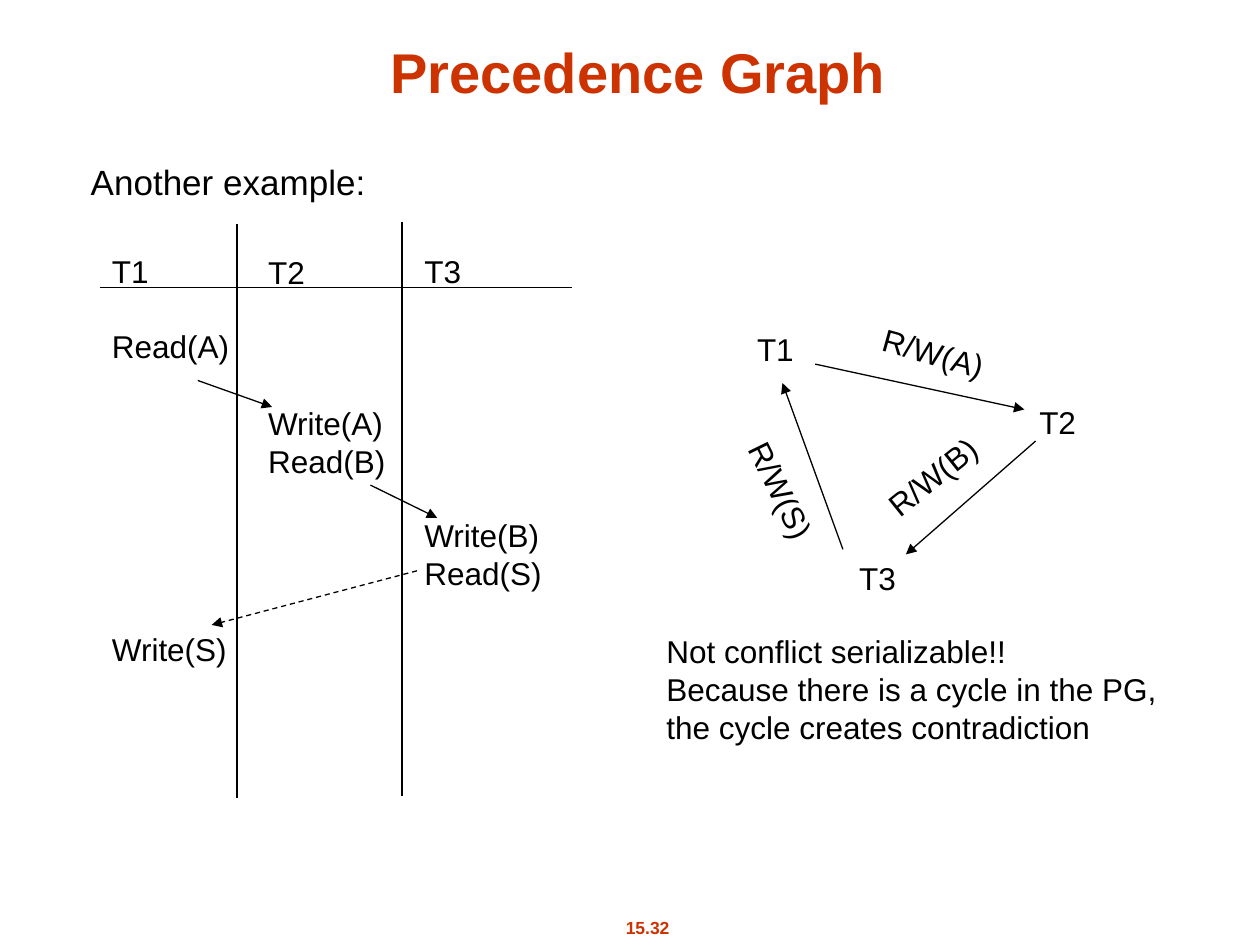
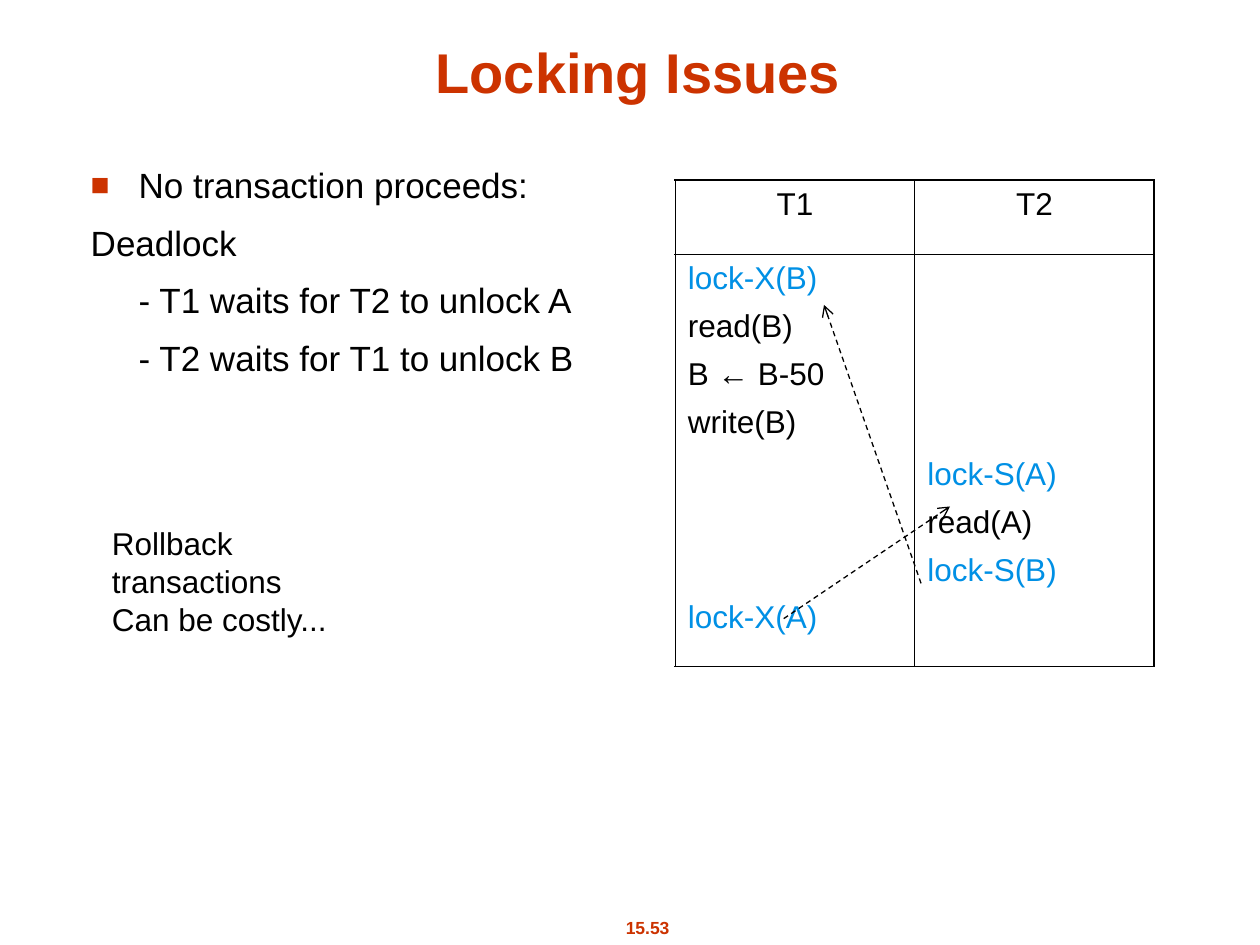
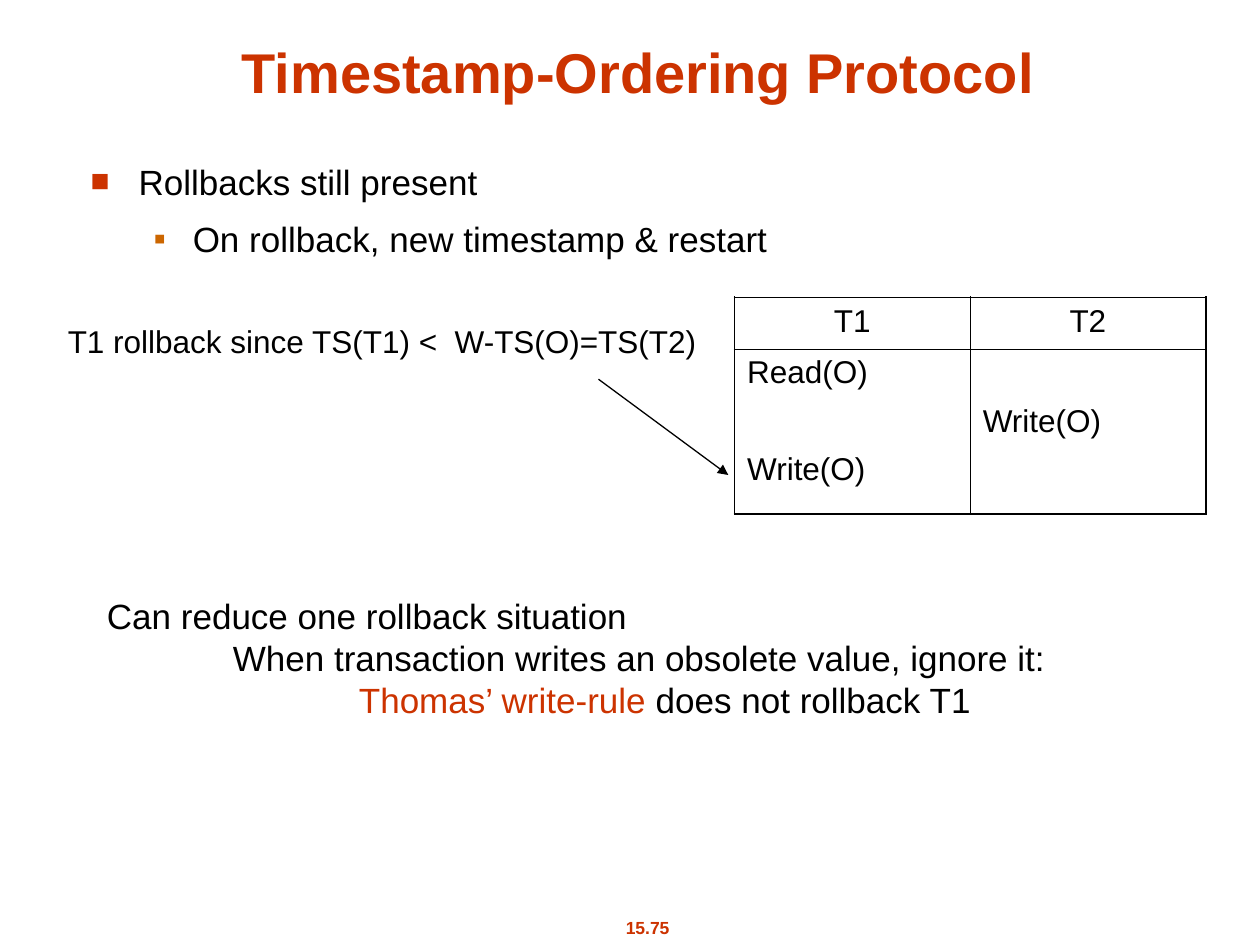
from lxml.etree import SubElement
from pptx import Presentation
from pptx.dml.color import RGBColor
from pptx.enum.dml import MSO_LINE
from pptx.enum.shapes import MSO_CONNECTOR
from pptx.enum.text import MSO_ANCHOR, MSO_AUTO_SIZE, PP_ALIGN
from pptx.oxml.ns import qn
from pptx.util import Inches, Pt

# Shared look
FONT = "Arial"
BLACK, RED, ORANGE, BLUE = "000000", "CC3300", "CC6600", "0090E5"
LEAD = 1.2            # line pitch of free text, in font sizes
STEP = 28             # pitch of table lines, in points
GAP = 7.3             # space before a table line
SQUARE = ("■", RED, 90, 0.38)
SMALL = ("▪", ORANGE, 100, 0.31)


def color(code):
    return RGBColor.from_string(code)


def write(frame, rows, size=18, lead=LEAD, align=PP_ALIGN.LEFT, bold=False):
    """Each row: space before, left indent, text or runs, optional bullet."""
    for i, (gap, left, runs, *mark) in enumerate(rows):
        para = frame.paragraphs[0] if i == 0 else frame.add_paragraph()
        para.alignment = align
        para.space_before = Pt(gap)
        if lead:
            para.line_spacing = Pt(lead * size)
        props = para._p.get_or_add_pPr()
        props.set("marL", str(Inches(left)))
        props.set("indent", "0")
        if mark:
            char, tint, scale, hang = mark[0]
            props.set("indent", str(-Inches(hang)))
            fill = SubElement(props, qn("a:buClr"))
            SubElement(fill, qn("a:srgbClr"), val=tint)
            SubElement(props, qn("a:buSzPct"), val=str(scale * 1000))
            SubElement(props, qn("a:buFont"), typeface=FONT)
            SubElement(props, qn("a:buChar"), char=char)
        else:
            SubElement(props, qn("a:buNone"))
        for text, tint in [(runs, BLACK)] if isinstance(runs, str) else runs:
            run = para.add_run()
            run.text = text
            run.font.name = FONT
            run.font.size = Pt(size)
            run.font.bold = bold
            run.font.color.rgb = color(tint)


deck = Presentation()
deck.slide_width, deck.slide_height = Inches(10), Inches(7.5)

# Titles, lists and page numbers
pages = [
    ("Precedence Graph", "15.32", 1.22, [(0, 0, "Another example:")]),
    ("Locking Issues", "15.53", 1.25, [
        (0, 0.38, "No transaction proceeds:", SQUARE),
        (8.8, 0, "Deadlock"),
        (8.8, 0.38, "- T1 waits for T2 to unlock A"),
        (8.8, 0.38, "- T2 waits for T1 to unlock B")]),
    ("Timestamp-Ordering Protocol", "15.75", 1.22, [
        (0, 0.38, "Rollbacks still present", SQUARE),
        (8.8, 0.81, "On rollback, new timestamp & restart", SMALL)]),
]
slides = []
for name, number, top, rows in pages:
    slide = deck.slides.add_slide(deck.slide_layouts[1])
    slides.append(slide)
    title, body = slide.shapes.title, slide.placeholders[1]
    title.left, title.top = Inches(0.65), Inches(0.21)
    title.width, title.height = Inches(8.83), Inches(0.67)
    title.text_frame.vertical_anchor = MSO_ANCHOR.BOTTOM
    title.text_frame.auto_size = MSO_AUTO_SIZE.NONE
    write(title.text_frame, [(0, 0, [(name, RED)])], 32, None,
          PP_ALIGN.CENTER, True)
    body.left, body.top = Inches(0.62), Inches(top)
    body.width, body.height = Inches(8.58), Inches(5.33)
    body.text_frame.auto_size = MSO_AUTO_SIZE.NONE
    write(body.text_frame, rows, 20)
    foot = slide.shapes.add_textbox(
        Inches(4.61), Inches(7.23), Inches(1.06), Inches(0.27))
    write(foot.text_frame, [(0, 0, [(number, RED)])], 10,
          align=PP_ALIGN.CENTER, bold=True)
graph, locks, stamps = slides

# Schedules: lines of each column as (blank steps before, text, colour)
tables = [
    (locks, 5.36, 1.43, 1.9, (0.59, 3.27), [
        [(0, "lock-X(B)", BLUE), (0, "read(B)", BLACK),
         (0, "B ← B-50", BLACK), (0, "write(B)", BLACK),
         (3, "lock-X(A)", BLUE)],
        [(4, "lock-S(A)", BLUE), (0, "read(A)", BLACK),
         (0, "lock-S(B)", BLUE)]]),
    (stamps, 5.83, 2.36, 1.87, (0.41, 1.31), [
        [(0, "Read(O)", BLACK), (1, "Write(O)", BLACK)],
        [(1, "Write(O)", BLACK)]]),
]
for slide, left, top, width, heights, columns in tables:
    grid = slide.shapes.add_table(
        2, 2, Inches(left), Inches(top),
        Inches(2 * width), Inches(sum(heights))).table
    grid.first_row = grid.horz_banding = False
    for i, height in enumerate(heights):
        grid.rows[i].height = Inches(height)
    for c, steps in enumerate(columns):
        grid.columns[c].width = Inches(width)
        head, cell = grid.cell(0, c), grid.cell(1, c)
        write(head.text_frame, [(0, 0, f"T{c + 1}")], lead=None,
              align=PP_ALIGN.CENTER)
        rows = [(GAP + STEP * skip if i else 0, 0, [(text, tint)])
                for i, (skip, text, tint) in enumerate(steps)]
        write(cell.text_frame, rows, lead=None)
        cell.margin_top = Inches(0.05) + Pt(STEP * steps[0][0])
        for r, box in enumerate((head, cell)):
            props = box._tc.get_or_add_tcPr()
            outer = {"L": c == 0, "R": c == 1, "T": r == 0, "B": r == 1}
            for side, edge in outer.items():
                rule = SubElement(props, qn(f"a:ln{side}"),
                                  w=str(Pt(1.08 if edge else 0.45)))
                fill = SubElement(rule, qn("a:solidFill"))
                SubElement(fill, qn("a:srgbClr"), val=BLACK)
            box.fill.background()

# Free text: slide, left, top, width, height, rotation, size, rows
LINE = 18 * LEAD
boxes = [
    (graph, 0.79, 1.95, 1.13, 3.4, 0, 18, [
        (0, 0, "T1"), (LINE, 0, "Read(A)"), (7 * LINE, 0, "Write(S)")]),
    (graph, 2.03, 1.96, 1.13, 2.2, 0, 18, [
        (0, 0, "T2"), (3 * LINE, 0, "Write(A)"), (0, 0, "Read(B)")]),
    (graph, 3.27, 1.95, 1.13, 2.8, 0, 18, [
        (0, 0, "T3"), (6 * LINE, 0, "Write(B)"), (0, 0, "Read(S)")]),
    (graph, 5.91, 2.57, 0.49, 0.4, 0, 18, [(0, 0, "T1")]),
    (graph, 8.15, 3.15, 0.49, 0.4, 0, 18, [(0, 0, "T2")]),
    (graph, 6.72, 4.39, 0.49, 0.4, 0, 18, [(0, 0, "T3")]),
    (graph, 6.9, 2.6, 1.02, 0.4, 15.6, 18, [(0, 0, "R/W(A)")]),
    (graph, 6.89, 3.58, 1.02, 0.4, 321.2, 18, [(0, 0, "R/W(B)")]),
    (graph, 5.69, 3.69, 1.02, 0.4, 63.8, 18, [(0, 0, "R/W(S)")]),
    (graph, 5.19, 4.97, 4.09, 1, 0, 18, [
        (0, 0, "Not conflict serializable!!"),
        (0, 0, "Because there is a cycle in the PG,"),
        (0, 0, "the cycle creates contradiction")]),
    (locks, 0.79, 4.11, 2.57, 0.7, 0, 18, [
        (0, 0, "Rollback transactions"), (0, 0, "Can be costly...")]),
    (stamps, 0.44, 2.51, 5.2, 0.4, 0, 18, [
        (0, 0, "T1 rollback since TS(T1) <  W-TS(O)=TS(T2)")]),
    (stamps, 0.75, 4.67, 7.65, 1.1, 0, 20, [
        (0, 0, "Can reduce one rollback situation"),
        (0, 1, "When transaction writes an obsolete value, ignore it:"),
        (0, 2, [("Thomas’ write-rule", RED),
                (" does not rollback T1", BLACK)])]),
]
for slide, left, top, width, height, turn, size, rows in boxes:
    box = slide.shapes.add_textbox(
        Inches(left), Inches(top), Inches(width), Inches(height))
    box.rotation = turn
    box.text_frame.word_wrap = False
    write(box.text_frame, rows, size)

# Rules and arrows: slide, from, to, arrowhead, dashed
links = [
    (graph, 0.79, 2.28, 4.54, 2.28, None, False),
    (graph, 1.88, 1.78, 1.88, 6.33, None, False),
    (graph, 3.19, 1.76, 3.19, 6.32, None, False),
    (graph, 1.57, 3.02, 2.16, 3.23, "triangle", False),
    (graph, 2.94, 3.85, 3.47, 4.11, "triangle", False),
    (graph, 3.31, 4.53, 1.68, 4.96, "triangle", True),
    (graph, 6.47, 2.89, 8.13, 3.25, "triangle", False),
    (graph, 8.22, 3.5, 7.19, 4.4, "triangle", False),
    (graph, 6.69, 4.36, 6.21, 3.04, "triangle", False),
    (locks, 6.22, 4.91, 7.54, 4.02, "arrow", True),
    (locks, 7.31, 4.63, 6.54, 2.42, "arrow", True),
    (stamps, 4.75, 3.01, 5.78, 3.77, "triangle", False),
]
for slide, x1, y1, x2, y2, tip, dashed in links:
    link = slide.shapes.add_connector(
        MSO_CONNECTOR.STRAIGHT, Inches(x1), Inches(y1), Inches(x2), Inches(y2))
    link.line.width = Pt(0.75)
    link.line.color.rgb = color(BLACK)
    if dashed:
        link.line.dash_style = MSO_LINE.DASH
    if tip:
        SubElement(link.line._get_or_add_ln(), qn("a:tailEnd"), type=tip)
    SubElement(link._element.spPr, qn("a:effectLst"))

deck.save("out.pptx")
